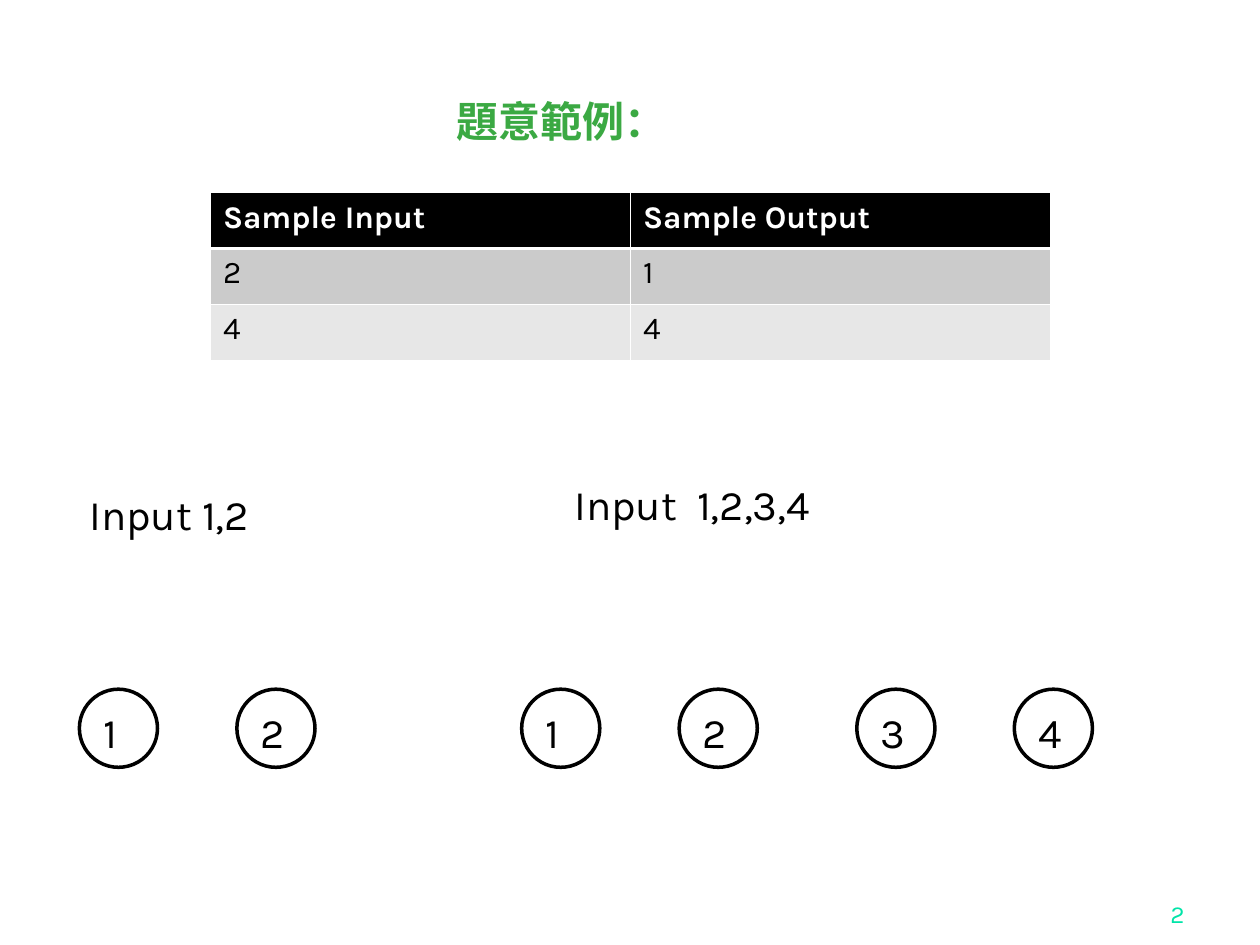
from dataclasses import dataclass

import pptx
import pptx.dml.color
import pptx.enum.shapes
import pptx.enum.text
import pptx.oxml
import pptx.oxml.ns
import pptx.util
from pptx.util import Inches

COLORS = {
    "heading": "3BA943",
    "number": "00E4A8",
    "ink": "000000",
    "paper": "FFFFFF",
    "odd_row": "CBCBCB",
    "even_row": "E7E7E7",
}
THIN, THICK = 0.45, 1.47
NODE_SIZE, NODE_TOP, NODE_STEP = 0.62, 5.47, 1.25
SAMPLES = [("Sample Input", "Sample Output"), ("2", "1"), ("4", "4")]
ROW_FILLS = ["ink", "odd_row", "even_row"]


@dataclass
class Label:
    text: str
    left: float
    top: float
    width: float
    size: int = 24
    color: str = "ink"
    align: str = "LEFT"
    anchor: str = "TOP"
    wrap: bool = False


@dataclass
class NodePair:
    left: float
    names: tuple[str, str]


LABELS = [
    Label("Input 1,2", 0.61, 3.83, 1.61),
    Label("Input  1,2,3,4", 4.46, 3.75, 2.34),
    Label("2", 7.42, 6.92, 2.08, 14, "number", "RIGHT", "BOTTOM", True),
]
NODE_PAIRS = [
    NodePair(0.63, ("1", "2")),
    NodePair(4.14, ("1", "2")),
    NodePair(6.8, ("3", "4")),
]


def rgb(name: str) -> pptx.dml.color.RGBColor:
    return pptx.dml.color.RGBColor.from_string(COLORS[name])


def write(para, text: str, size: int, color: str, bold: bool = False, name: str = "Karla") -> None:
    span = para.add_run()
    span.text = text
    formats = {"size": pptx.util.Pt(size), "name": name, "bold": bold}
    for attribute, value in formats.items():
        setattr(span.font, attribute, value)
    span.font.color.rgb = rgb(color)


def add_heading(page) -> None:
    box = page.placeholders[1]
    frame = {"left": 0.42, "top": 0.75, "width": 8.83, "height": 6.15}
    for attribute, value in frame.items():
        setattr(box, attribute, Inches(value))
    para = box.text_frame.paragraphs[0]
    properties = para._p.get_or_add_pPr()
    properties.set("marL", str(Inches(3.1)))
    properties.set("indent", "0")
    properties.append(pptx.oxml.parse_xml(
        f'<a:buNone {pptx.oxml.ns.nsdecls("a")}/>'))
    para.line_spacing = 0.9
    para.space_before = pptx.util.Pt(0)
    write(para, "題意範例：", 24, "heading", True, "Times New Roman")


def set_borders(cell, top: float, bottom: float) -> None:
    """Draw white cell borders; they must precede the fill in the XML."""
    properties = cell._tc.get_or_add_tcPr()
    widths = {"lnL": THIN, "lnR": THIN, "lnT": top, "lnB": bottom}
    for position, (side, width) in enumerate(widths.items()):
        properties.insert(position, pptx.oxml.parse_xml(
            f'<a:{side} {pptx.oxml.ns.nsdecls("a")} w="{pptx.util.Pt(width)}">'
            f'<a:solidFill><a:srgbClr val="{COLORS["paper"]}"/></a:solidFill>'
            f'</a:{side}>'))


def add_samples(page) -> None:
    table = page.shapes.add_table(
        len(SAMPLES), 2, Inches(1.67), Inches(1.53), Inches(6.67), Inches(1.33)).table
    for row, (texts, fill) in enumerate(zip(SAMPLES, ROW_FILLS)):
        header = row == 0
        for column, text in enumerate(texts):
            cell = table.cell(row, column)
            cell.fill.solid()
            cell.fill.fore_color.rgb = rgb(fill)
            set_borders(cell, THICK if row == 1 else THIN, THICK if header else THIN)
            write(cell.text_frame.paragraphs[0], text, 18,
                  "paper" if header else "ink", header)


def add_label(page, label: Label) -> None:
    box = page.shapes.add_textbox(
        Inches(label.left), Inches(label.top), Inches(label.width), Inches(0.5))
    frame = box.text_frame
    frame.word_wrap = label.wrap
    frame.vertical_anchor = pptx.enum.text.MSO_ANCHOR[label.anchor]
    para = frame.paragraphs[0]
    para.alignment = pptx.enum.text.PP_ALIGN[label.align]
    write(para, label.text, label.size, label.color)


def add_node(page, name: str, left: float) -> None:
    node = page.shapes.add_shape(
        pptx.enum.shapes.MSO_SHAPE.FLOWCHART_CONNECTOR,
        Inches(left), Inches(NODE_TOP), Inches(NODE_SIZE), Inches(NODE_SIZE))
    node.shadow.inherit = False
    node.fill.solid()
    node.fill.fore_color.rgb = rgb("paper")
    node.line.color.rgb = rgb("ink")
    node.line.width = pptx.util.Pt(2)
    frame = node.text_frame
    frame.word_wrap = False
    frame.vertical_anchor = pptx.enum.text.MSO_ANCHOR.TOP
    para = frame.paragraphs[0]
    para.alignment = pptx.enum.text.PP_ALIGN.LEFT
    write(para, name, 24, "ink")


def main() -> None:
    deck = pptx.Presentation()
    deck.slide_width, deck.slide_height = Inches(10), Inches(7.5)
    page = deck.slides.add_slide(deck.slide_layouts[1])
    unused_title = page.shapes.title._element
    unused_title.getparent().remove(unused_title)
    add_heading(page)
    add_samples(page)
    for label in LABELS:
        add_label(page, label)
    for pair in NODE_PAIRS:
        for index, name in enumerate(pair.names):
            add_node(page, name, pair.left + index * NODE_STEP)
    deck.save("out.pptx")


if __name__ == "__main__":
    main()
